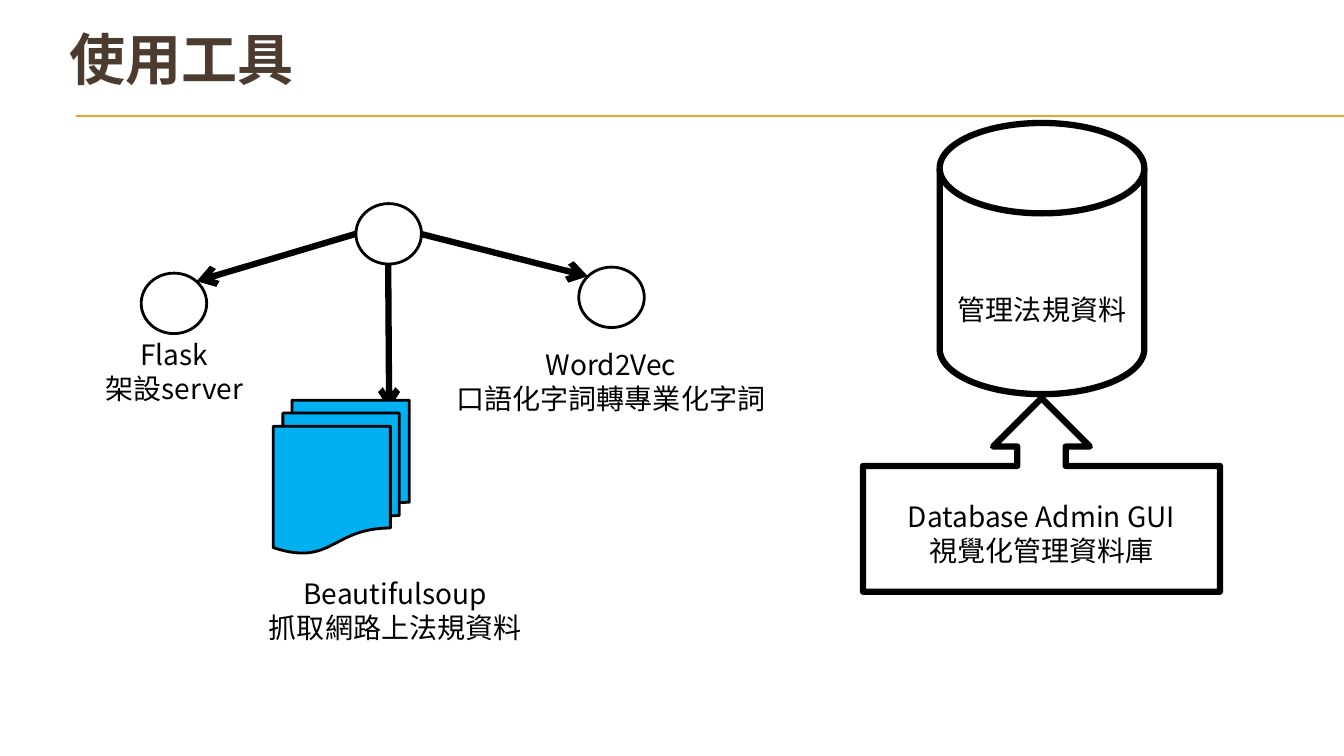
from lxml import etree
from pptx import Presentation
from pptx.dml.color import RGBColor
from pptx.enum.shapes import MSO_CONNECTOR, MSO_SHAPE as Shape
from pptx.enum.text import MSO_ANCHOR as Anchor, PP_ALIGN as Align
from pptx.oxml.ns import qn
from pptx.util import Inches, Pt

FONT = "Noto Sans CJK SC"
COLORS = {"ink": "000000", "title": "4E3B30", "rule": "F0A22E",
          "paper": "FFFFFF", "document": "00B0F0"}

TITLE = "使用工具"
NODE_SIZE = (0.65, 0.6)
NODES = [(3.53, 2.02), (1.4, 2.71), (5.74, 2.65)]
ARROWS = [((3.53, 2.32), (1.95, 2.79)),
          ((3.85, 2.62), (3.86, 4.06)),
          ((4.17, 2.32), (5.83, 2.74))]
RULES = [((0.75, y), (13.33, y)) for y in (1.15, 1.16)]
# Preset, frame, fill, line width
FIGURES = [
    (Shape.FLOWCHART_MULTIDOCUMENT, (2.71, 3.97, 1.35, 1.52), "document", 2),
    (Shape.FLOWCHART_MAGNETIC_DISK, (9.32, 1.22, 2.03, 2.69), "paper", 4.5),
    (Shape.UP_ARROW_CALLOUT, (8.56, 3.95, 3.54, 1.92), "paper", 4.5),
]
LABELS = [
    (("Flask", "架設server"), (0.7, 3.3, 2.06, 0.77)),
    (("Beautifulsoup", "抓取網路上法規資料"), (2.4, 5.67, 3.04, 0.77)),
    (("Word2Vec", "口語化字詞轉專業化字詞"), (4.41, 3.4, 3.3, 0.77)),
    (("管理法規資料",), (9.19, 2.85, 2.29, 0.44)),
    (("Database Admin GUI", "視覺化管理資料庫"), (8.53, 4.91, 3.6, 0.77)),
]

deck = Presentation()
deck.slide_width, deck.slide_height = Inches(13.33), Inches(7.5)
page = deck.slides.add_slide(deck.slide_layouts[5])


def color(name):
    return RGBColor.from_string(COLORS[name])


def inches(values):
    return [Inches(value) for value in values]


def write(frame, lines, size=20, ink="ink", bold=False, align=Align.CENTER,
          anchor=Anchor.TOP):
    frame.word_wrap = True
    frame.vertical_anchor = anchor
    for index, line in enumerate(lines):
        para = frame.add_paragraph() if index else frame.paragraphs[0]
        para.alignment = align
        span = para.add_run()
        span.text = line
        span.font.size, span.font.bold = Pt(size), bold
        span.font.name = FONT
        span.font.color.rgb = color(ink)
        east_asian = etree.SubElement(span.font._element, qn("a:ea"))
        east_asian.set("typeface", FONT)


def add_line(start, end, ink, width, arrow=False):
    line = page.shapes.add_connector(MSO_CONNECTOR.STRAIGHT,
                                     *inches(start + end))
    line.line.color.rgb = color(ink)
    line.line.width = Pt(width)
    if arrow:
        etree.SubElement(line.line._get_or_add_ln(), qn("a:tailEnd"),
                         type="arrow")
    etree.SubElement(line._element.spPr, qn("a:effectLst"))


def add_figure(preset, frame, fill, width):
    figure = page.shapes.add_shape(preset, *inches(frame))
    figure.shadow.inherit = False
    figure.fill.solid()
    figure.fill.fore_color.rgb = color(fill)
    figure.line.color.rgb = color("ink")
    figure.line.width = Pt(width)


# Title and the rule under it
title = page.shapes.title
title.left, title.top, title.width, title.height = inches(
    (0.59, 0.12, 12.54, 0.92))
write(title.text_frame, [TITLE], size=40, ink="title", bold=True,
      align=Align.LEFT, anchor=Anchor.MIDDLE)
for start, end in RULES:
    add_line(start, end, "rule", 0.75)

# Tool tree: nodes and arrows
for node in NODES:
    add_figure(Shape.FLOWCHART_CONNECTOR, node + NODE_SIZE, "paper", 2)
for start, end in ARROWS:
    add_line(start, end, "ink", 4.5, arrow=True)

# Documents, database and callout
for figure in FIGURES:
    add_figure(*figure)

# Labels
for lines, frame in LABELS:
    box = page.shapes.add_textbox(*inches(frame))
    write(box.text_frame, lines)

deck.save("out.pptx")
